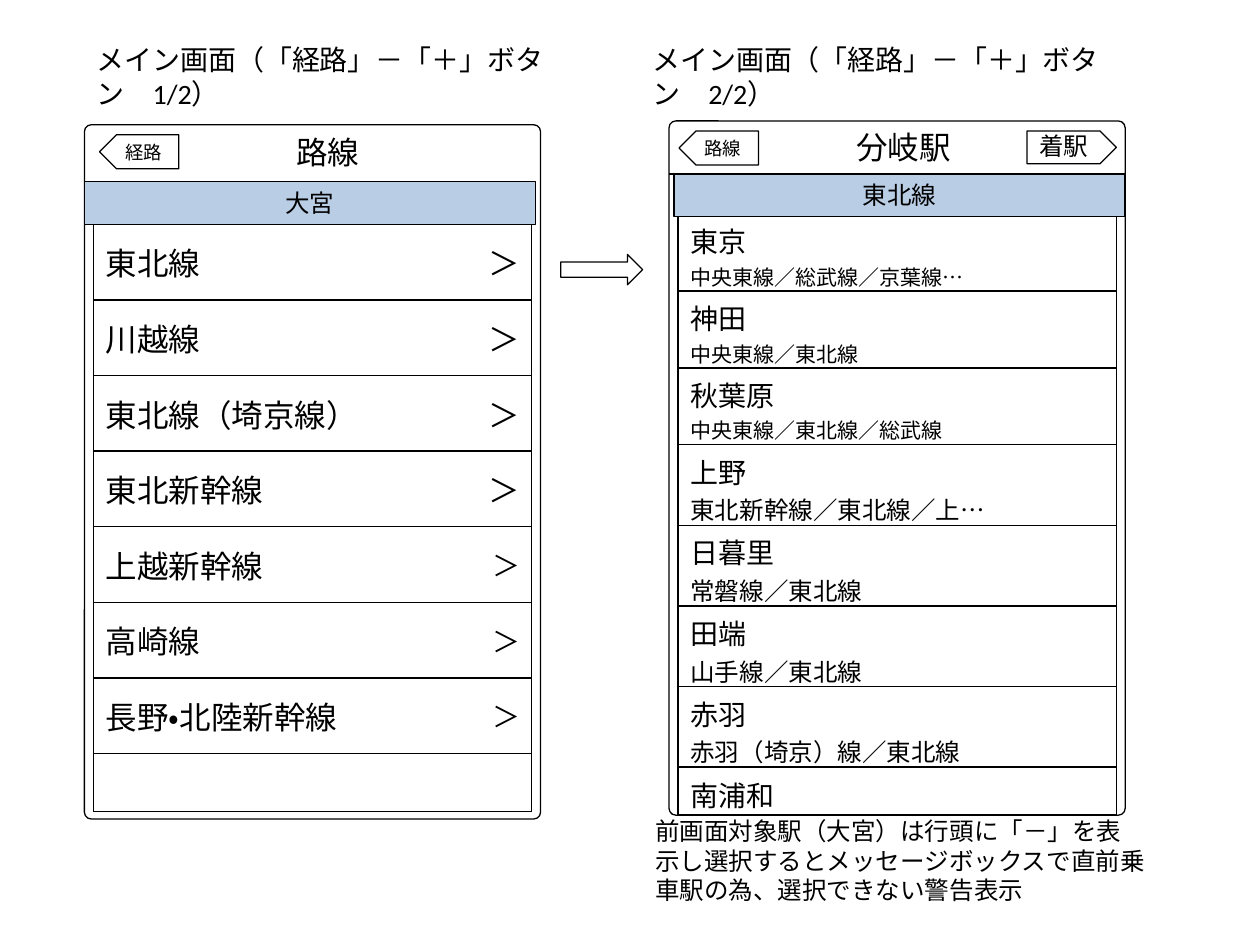
from dataclasses import dataclass

from lxml.etree import SubElement
from pptx import Presentation
from pptx.dml.color import RGBColor
from pptx.enum.lang import MSO_LANGUAGE_ID
from pptx.enum.shapes import MSO_CONNECTOR, MSO_SHAPE
from pptx.enum.text import MSO_ANCHOR, MSO_AUTO_SIZE, PP_ALIGN
from pptx.oxml.ns import qn
from pptx.util import Inches, Pt

BLACK, BAR_BLUE = "000000", "B9CDE5"
NO_STYLE = "{2D5ABB26-0587-4C30-8999-92F81FD0307C}"
LEFT, CENTER, RIGHT = PP_ALIGN.LEFT, PP_ALIGN.CENTER, PP_ALIGN.RIGHT
Box = tuple[float, float, float, float]


@dataclass
class Row:
    height: float
    lines: list[tuple[str, float]]


@dataclass
class Screen:
    caption: str
    caption_left: float
    title: str
    title_box: Box
    frame: Box
    back: str
    back_box: Box
    bar: str
    bar_box: Box
    list_at: tuple[float, float]
    rows: list[Row]
    bottom_margin: float


prs = Presentation()
prs.slide_width, prs.slide_height = Inches(10), Inches(7.5)
s = prs.slides.add_slide(prs.slide_layouts[6])


def rgb(color: str) -> RGBColor:
    return RGBColor.from_string(color)


def style(p, size: float, align=LEFT) -> None:
    p.alignment = align
    for r in p.runs:
        r.font.size, r.font.name = Pt(size), "Calibri"
        r.font.color.rgb = rgb(BLACK)
        r.font.language_id = MSO_LANGUAGE_ID.JAPANESE


def add_text(text: str, box: Box, size: float, align=LEFT) -> None:
    tf = s.shapes.add_textbox(*map(Inches, box)).text_frame
    tf.word_wrap = True
    tf.auto_size = MSO_AUTO_SIZE.SHAPE_TO_FIT_TEXT
    tf.text = text
    style(tf.paragraphs[0], size, align)


def add_outline(kind, box: Box, text: str = "", size: float = 14, fill: str = "",
                anchor=MSO_ANCHOR.MIDDLE):
    sp = s.shapes.add_shape(kind, *map(Inches, box))
    sp.shadow.inherit = False
    if fill:
        sp.fill.solid()
        sp.fill.fore_color.rgb = rgb(fill)
    else:
        sp.fill.background()
    sp.line.color.rgb, sp.line.width = rgb(BLACK), Pt(0.75)
    if text:
        tf = sp.text_frame
        tf.text, tf.vertical_anchor = text, anchor
        style(tf.paragraphs[0], size, CENTER)
    return sp


def add_borders(cell) -> None:
    tc_pr = cell._tc.get_or_add_tcPr()
    for i, side in enumerate(("lnL", "lnR", "lnT", "lnB")):
        ln = SubElement(tc_pr, qn(f"a:{side}"), w=str(Pt(1)))
        fill = SubElement(ln, qn("a:solidFill"))
        SubElement(fill, qn("a:srgbClr"), val=BLACK)
        tc_pr.insert(i, ln)


def add_list(left: float, top: float, width: float, rows: list[Row], align=LEFT,
             bordered: bool = True, bottom_margin: float = 0.05) -> None:
    height = sum(row.height for row in rows)
    table = s.shapes.add_table(len(rows), 1, *map(Inches, (left, top, width, height))).table
    table.first_row = table.horz_banding = False
    table._tbl.tblPr.find(qn("a:tableStyleId")).text = NO_STYLE
    for i, row in enumerate(rows):
        table.rows[i].height = Inches(row.height)
        cell = table.cell(i, 0)
        cell.fill.background()
        cell.vertical_anchor = MSO_ANCHOR.MIDDLE
        cell.margin_bottom = Inches(bottom_margin)
        cell.text_frame.text = "\n".join(text for text, _ in row.lines)
        for p, (_, size) in zip(cell.text_frame.paragraphs, row.lines):
            style(p, size, align)
        if bordered:
            add_borders(cell)


def add_screen(sc: Screen) -> None:
    add_list(*sc.list_at, 3.48, sc.rows, bottom_margin=sc.bottom_margin)
    add_text(sc.title, sc.title_box, 18, CENTER)
    add_outline(MSO_SHAPE.ROUNDED_RECTANGLE, sc.frame).adjustments[0] = 0.015
    back = add_outline(MSO_SHAPE.PENTAGON, sc.back_box, sc.back, 10.5)
    back._element.spPr.xfrm.set("flipH", "1")
    add_text(sc.caption, (sc.caption_left, 0.29, 4.09, 0.37), 16)
    add_outline(MSO_SHAPE.RECTANGLE, sc.bar_box, sc.bar, 14, BAR_BLUE, MSO_ANCHOR.TOP)


# List contents
lines = ["東北線", "川越線", "東北線（埼京線）", "東北新幹線", "上越新幹線", "高崎線", "長野・北陸新幹線"]
line_rows = [Row(0.6, [(name, 18)]) for name in lines] + [Row(0.46, [])]
chevrons = [Row(0.6, [("＞", 18 if i < 4 else 16)]) for i in range(len(lines))] + [Row(0.46, [])]

stations = [
    ("東京", "中央東線／総武線／京葉線…", 12),
    ("神田", "中央東線／東北線", 12),
    ("秋葉原", "中央東線／東北線／総武線", 12),
    ("上野", "東北新幹線／東北線／上…", 14),
    ("日暮里", "常磐線／東北線", 14),
    ("田端", "山手線／東北線", 14),
    ("赤羽", "赤羽（埼京）線／東北線", 14),
]
station_rows = [Row(0.61 if size == 12 else 0.64, [(name, 16), (served, size)])
                for name, served, size in stations] + [Row(0.38, [("南浦和", 16)])]

# Line screen
add_screen(Screen(
    "メイン画面（「経路」－「＋」ボタン　1/2）", 0.67, "路線", (1.46, 1.01, 2.28, 0.4),
    (0.67, 0.99, 3.62, 5.51), "経路", (0.79, 1.07, 0.63, 0.27),
    "大宮", (0.67, 1.44, 3.58, 0.34), (0.74, 1.78), line_rows, 0.05))
add_list(3.43, 1.78, 0.8, chevrons, RIGHT, bordered=False)

# Junction station screen
add_screen(Screen(
    "メイン画面（「経路」－「＋」ボタン　2/2）", 5.08, "分岐駅", (6.42, 0.97, 1.5, 0.4),
    (5.31, 0.96, 3.62, 5.51), "路線", (5.39, 1.04, 0.63, 0.27),
    "東北線", (5.35, 1.38, 3.58, 0.34), (5.38, 1.7), station_rows, 0))
header_line = s.shapes.add_connector(
    MSO_CONNECTOR.STRAIGHT, *map(Inches, (5.31, 1.38, 8.94, 1.38)))
header_line.line.color.rgb, header_line.line.width = rgb(BLACK), Pt(0.75)
SubElement(header_line._element.spPr, qn("a:effectLst"))
add_text("着駅", (8.15, 0.99, 0.87, 0.34), 14)
add_outline(MSO_SHAPE.PENTAGON, (8.15, 1.04, 0.71, 0.26))

# Note and transition arrow
add_text("前画面対象駅（大宮）は行頭に「－」を表示し選択するとメッセージボックスで"
         "直前乗車駅の為、選択できない警告表示", (5.1, 6.43, 4.09, 0.81), 14)
add_outline(MSO_SHAPE.RIGHT_ARROW, (4.45, 2.02, 0.65, 0.24))

prs.save("out.pptx")
